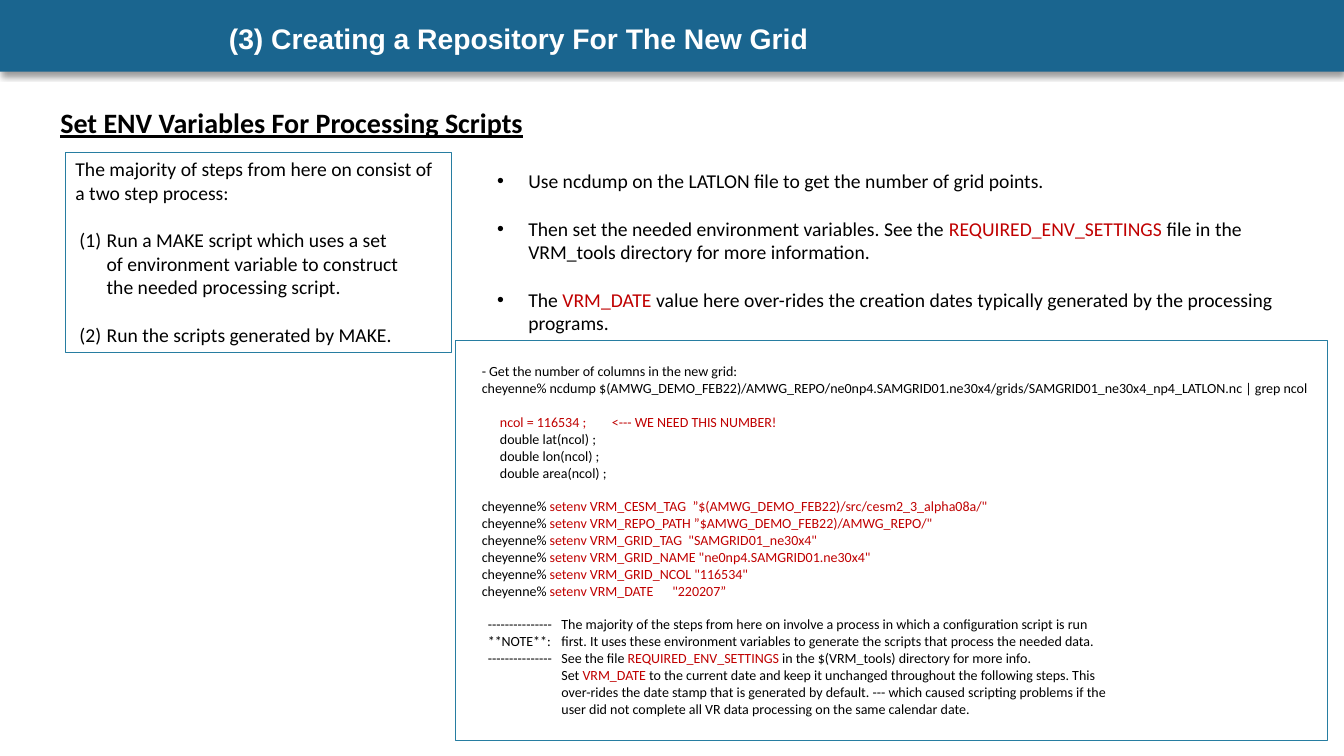
from lxml import etree
from pptx import Presentation
from pptx.dml.color import RGBColor
from pptx.enum.shapes import MSO_SHAPE
from pptx.enum.text import MSO_ANCHOR, MSO_AUTO_SIZE, PP_ALIGN
from pptx.oxml.ns import qn
from pptx.util import Inches, Pt

RECTANGLE = MSO_SHAPE.RECTANGLE
TOP, MIDDLE = MSO_ANCHOR.TOP, MSO_ANCHOR.MIDDLE
LEFT = PP_ALIGN.LEFT
NO_AUTOFIT = MSO_AUTO_SIZE.NONE
BLACK, WHITE, RED, BANNER, BORDER = "000000", "FFFFFF", "C00000", "1A658F", "277DA1"
LINE_HEIGHT = 1.22  # Calibri line height as a share of the font size

TITLE = "(3) Creating a Repository For The New Grid"
HEADING = "Set ENV Variables For Processing Scripts"

# Each line: text with {red parts}, left margin, first-line start, blank lines before
STEPS = [
    ("The majority of steps from here on consist of a two step process:", 0, 0, 0),
    ("(1)\tRun a MAKE script which uses a set", 0.31, 0.04, 1),
    ("of environment variable to construct", 0.31, 0.31, 0),
    ("the needed processing script.", 0.31, 0.31, 0),
    ("(2)\tRun the scripts generated by MAKE.", 0.31, 0.04, 1),
]
BULLETS = [
    ("Use ncdump on the LATLON file to get the number of grid points.", 0.31, 0, 0),
    ("Then set the needed environment variables. See the {REQUIRED_ENV_SETTINGS} "
     "file in the VRM_tools directory for more information.", 0.31, 0, 1),
    ("The {VRM_DATE} value here over-rides the creation dates typically generated "
     "by the processing programs.", 0.31, 0, 1),
]
PROMPT, OUTPUT, NOTE, NOTE_TEXT = 0.16, 0.34, 0.22, 0.95
CODE = [
    ("- Get the number of columns in the new grid:", PROMPT, PROMPT, 0),
    ("cheyenne% ncdump $(AMWG_DEMO_FEB22)/AMWG_REPO/ne0np4.SAMGRID01.ne30x4/grids/"
     "SAMGRID01_ne30x4_np4_LATLON.nc | grep ncol", PROMPT, PROMPT, 0),
    ("{ncol = 116534 ;\t<--- WE NEED THIS NUMBER!}", 1.45, OUTPUT, 1),
    ("double lat(ncol) ;", OUTPUT, OUTPUT, 0),
    ("double lon(ncol) ;", OUTPUT, OUTPUT, 0),
    ("double area(ncol) ;", OUTPUT, OUTPUT, 0),
    ('cheyenne% {setenv VRM_CESM_TAG\t”$(AMWG_DEMO_FEB22)/src/cesm2_3_alpha08a/"}',
     2.25, PROMPT, 1),
    ('cheyenne% {setenv VRM_REPO_PATH ”$AMWG_DEMO_FEB22)/AMWG_REPO/"}', PROMPT, PROMPT, 0),
    ('cheyenne% {setenv VRM_GRID_TAG\t"SAMGRID01_ne30x4"}', 2.21, PROMPT, 0),
    ('cheyenne% {setenv VRM_GRID_NAME "ne0np4.SAMGRID01.ne30x4"}', PROMPT, PROMPT, 0),
    ('cheyenne% {setenv VRM_GRID_NCOL "116534"}', PROMPT, PROMPT, 0),
    ('cheyenne% {setenv VRM_DATE\t"220207”}', 2.05, PROMPT, 0),
    ("---------------\tThe majority of the steps from here on involve a process in which "
     "a configuration script is run", NOTE_TEXT, NOTE, 1),
    ("**NOTE**:\tfirst. It uses these environment variables to generate the scripts "
     "that process the needed data.", NOTE_TEXT, NOTE, 0),
    ("---------------\tSee the file {REQUIRED_ENV_SETTINGS} in the $(VRM_tools) directory "
     "for more info.", NOTE_TEXT, NOTE, 0),
    ("Set {VRM_DATE} to the current date and keep it unchanged throughout the following "
     "steps. This", NOTE_TEXT, NOTE_TEXT, 0),
    ("over-rides the date stamp that is generated by default. --- which caused scripting "
     "problems if the", NOTE_TEXT, NOTE_TEXT, 0),
    ("user did not complete all VR data processing on the same calendar date.",
     NOTE_TEXT, NOTE_TEXT, 0),
]


def color(value):
    return RGBColor.from_string(value)


def place(shape, left, top, width, height):
    shape.left, shape.top = Inches(left), Inches(top)
    shape.width, shape.height = Inches(width), Inches(height)


def write(shape, lines, size, font="Calibri", ink=BLACK, bold=False, underline=False,
          anchor=TOP, top_inset=0.05, bullet=None):
    frame = shape.text_frame
    frame.word_wrap = True
    frame.auto_size = NO_AUTOFIT
    frame.vertical_anchor = anchor
    frame.margin_left = frame.margin_right = Inches(0.1)
    frame.margin_top, frame.margin_bottom = Inches(top_inset), Inches(0.05)
    for number, (text, margin, start, blanks) in enumerate(lines):
        para = frame.paragraphs[0] if number == 0 else frame.add_paragraph()
        para.alignment = LEFT
        para.space_before = Pt(round(blanks * size * LINE_HEIGHT, 1))
        properties = para._p.get_or_add_pPr()
        properties.set("marL", str(Inches(margin)))
        properties.set("indent", str(Inches(start) - Inches(margin)))
        if bullet:
            etree.SubElement(properties, qn("a:buFont"), typeface="Arial")
            etree.SubElement(properties, qn("a:buChar"), char=bullet)
        for index, part in enumerate(text.replace("}", "{").split("{")):
            if part:
                span = para.add_run()
                span.text = part
                span.font.name, span.font.size = font, Pt(size)
                span.font.bold, span.font.underline = bold, underline
                span.font.color.rgb = color(RED if index % 2 else ink)


def add_rectangle(page, place_at, fill=None, line=None):
    box = page.shapes.add_shape(RECTANGLE, *map(Inches, place_at))
    box.shadow.inherit = False
    if fill:
        box.fill.solid()
        box.fill.fore_color.rgb = color(fill)
    else:
        box.fill.background()
    if line:
        box.line.color.rgb = color(line)
        box.line.width = Pt(0.75)
    else:
        box.line.fill.background()
    return box


def add_shadow(shape):
    effects = shape.element.spPr.find(qn("a:effectLst"))
    shadow = etree.SubElement(effects, qn("a:outerShdw"), blurRad=str(Pt(4)),
                              dist=str(Pt(3)), dir="5400000", rotWithShape="0")
    ink = etree.SubElement(shadow, qn("a:srgbClr"), val=BLACK)
    etree.SubElement(ink, qn("a:alpha"), val="40000")


def main():
    deck = Presentation()
    deck.slide_width, deck.slide_height = Inches(13.33), Inches(7.5)
    page = deck.slides.add_slide(deck.slide_layouts[1])
    title, body = page.shapes.title, page.placeholders[1]

    banner = add_rectangle(page, (0, 0, 13.33, 0.71), fill=BANNER)
    add_shadow(banner)
    title.element.addprevious(banner.element)
    place(title, 2.17, 0.17, 9, 0.41)
    write(title, [(TITLE, 0, 0, 0)], 20.2, font="Arial", ink=WHITE, bold=True, anchor=MIDDLE)

    code_box = add_rectangle(page, (4.52, 3.38, 8.65, 3.97), line=BORDER)
    write(code_box, CODE, 10, top_inset=0.22)
    steps_box = add_rectangle(page, (0.65, 1.51, 3.83, 1.99), line=BORDER)
    write(steps_box, STEPS, 14)

    place(body, 4.83, 1.63, 7.96, 1.75)
    write(body, BULLETS, 14, bullet="•")
    heading = page.shapes.add_textbox(*map(Inches, (0.5, 1, 4.92, 0.44)))
    write(heading, [(HEADING, 0, 0, 0)], 20, bold=True, underline=True)
    deck.save("out.pptx")


if __name__ == "__main__":
    main()
